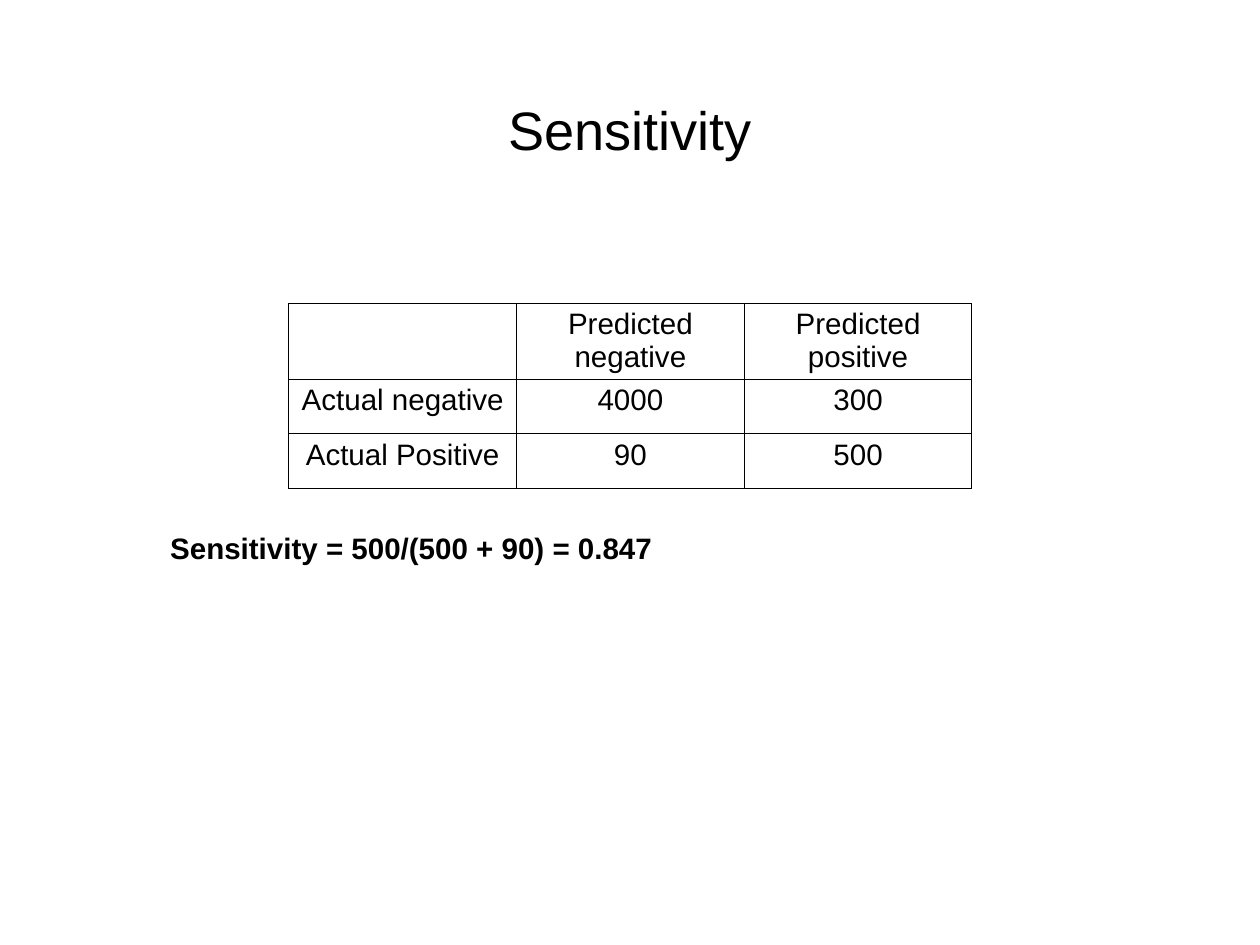
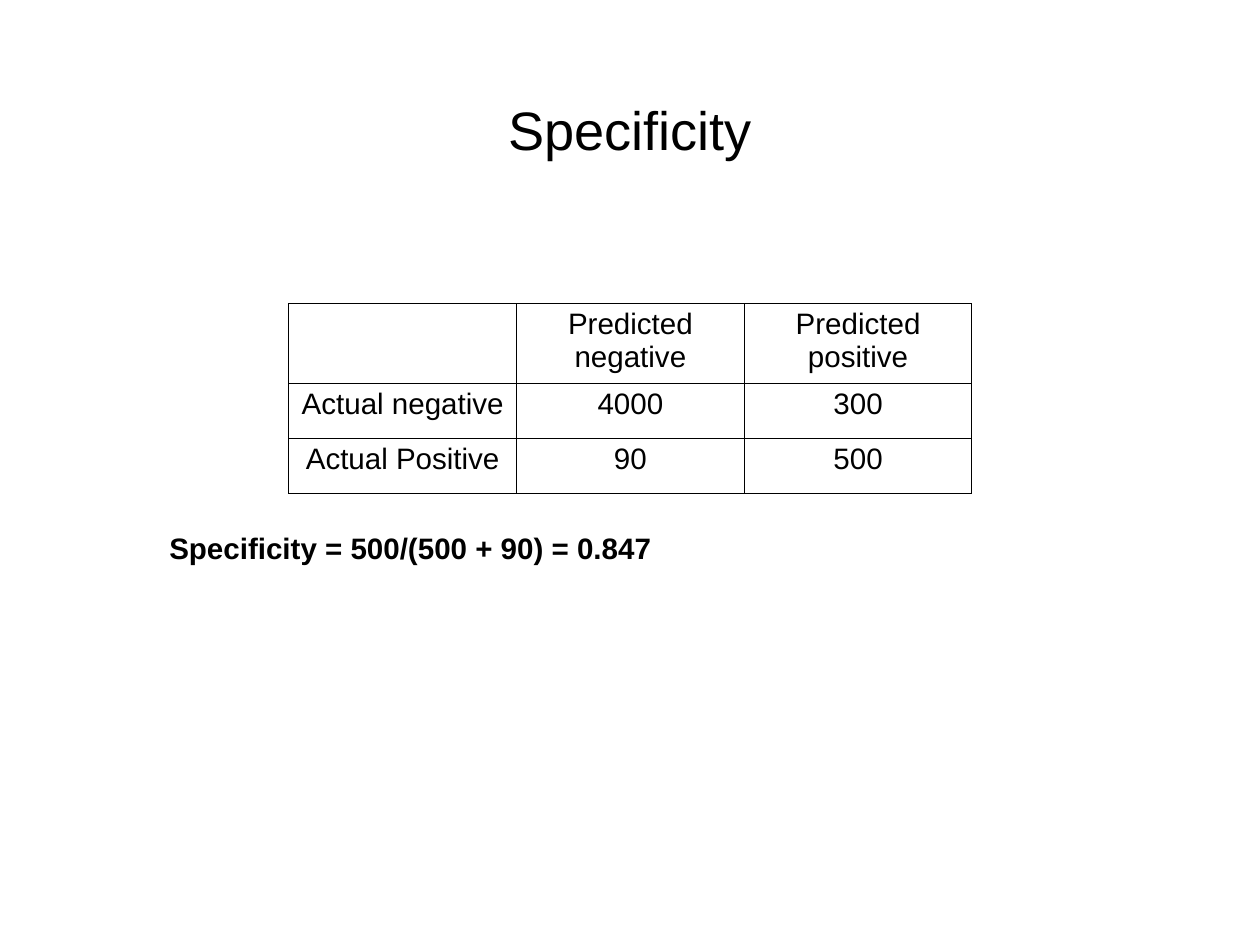
"""Build two slides that work out sensitivity and specificity from a confusion matrix."""
import pptx
import pptx.dml.color
import pptx.enum.text
import pptx.oxml.ns
import pptx.util
from lxml import etree

Inches = pptx.util.Inches
BLACK = pptx.dml.color.RGBColor(0, 0, 0)
WHITE = pptx.dml.color.RGBColor(255, 255, 255)
FONT = "Arial"

MATRIX = [
    ["", "Predicted negative", "Predicted positive"],
    ["Actual negative", "4000", "300"],
    ["Actual Positive", "90", "500"],
]
SLIDES = [
    {"title": "Sensitivity", "formula": "Sensitivity = 500/(500 + 90) = 0.847",
     "formula_left": 1.8, "formula_width": 5.68, "header_height": 0.85},
    {"title": "Specificity", "formula": "Specificity = 500/(500 + 90) = 0.847",
     "formula_left": 1.78, "formula_width": 5.7, "header_height": 0.9},
]
TABLE_LEFT, TABLE_TOP = 3.26, 3.43
COLUMN_WIDTH, ROW_HEIGHT = 2.57, 0.62


def write(frame, text, size=24, bold=False):
    """Put one centred paragraph into a text frame."""
    para = frame.paragraphs[0]
    para.alignment = pptx.enum.text.PP_ALIGN.CENTER
    span = para.add_run()
    span.text = text
    span.font.name = FONT
    span.font.size = pptx.util.Pt(size)
    span.font.bold = bold
    span.font.color.rgb = BLACK


def add_borders(cell):
    """Draw a thin black line on all four sides of a cell."""
    qn = pptx.oxml.ns.qn
    properties = cell._tc.get_or_add_tcPr()
    for side in ("lnL", "lnR", "lnT", "lnB"):
        line = etree.SubElement(properties, qn(f"a:{side}"), w=str(pptx.util.Pt(1)))
        fill = etree.SubElement(line, qn("a:solidFill"))
        etree.SubElement(fill, qn("a:srgbClr"), val=str(BLACK))


def add_title(slide, text):
    """Place and format the title placeholder."""
    title = slide.shapes.title
    title.left, title.top = Inches(1.04), Inches(0.28)
    title.width, title.height = Inches(12.14), Inches(2.36)
    frame = title.text_frame
    frame.vertical_anchor = pptx.enum.text.MSO_ANCHOR.MIDDLE
    frame.margin_left = frame.margin_right = Inches(0.06)
    frame.margin_top = frame.margin_bottom = Inches(0.06)
    write(frame, text, size=44)


def add_matrix(slide, header_height):
    """Add the confusion matrix as a plain ruled table."""
    heights = [header_height] + [ROW_HEIGHT] * (len(MATRIX) - 1)
    columns = len(MATRIX[0])
    table = slide.shapes.add_table(
        len(MATRIX), columns, Inches(TABLE_LEFT), Inches(TABLE_TOP),
        Inches(COLUMN_WIDTH * columns), Inches(sum(heights))).table
    table.first_row = table.horz_banding = False
    for column in table.columns:
        column.width = Inches(COLUMN_WIDTH)
    for row, height, labels in zip(table.rows, heights, MATRIX):
        row.height = Inches(height)
        for cell, label in zip(row.cells, labels):
            add_borders(cell)
            cell.fill.background()
            if label:
                write(cell.text_frame, label)


def add_formula(slide, text, left, width):
    """Add the worked formula below the table."""
    box = slide.shapes.add_textbox(Inches(left), Inches(5.93), Inches(width), Inches(0.5))
    box.text_frame.word_wrap = False
    box.text_frame.auto_size = pptx.enum.text.MSO_AUTO_SIZE.SHAPE_TO_FIT_TEXT
    write(box.text_frame, text, bold=True)


def main():
    """Build and save the deck."""
    deck = pptx.Presentation()
    deck.slide_width, deck.slide_height = Inches(14.22), Inches(10.67)
    background = deck.slide_master.background.fill
    background.solid()
    background.fore_color.rgb = WHITE
    for page in SLIDES:
        slide = deck.slides.add_slide(deck.slide_layouts.get_by_name("Title Only"))
        add_title(slide, page["title"])
        add_matrix(slide, page["header_height"])
        add_formula(slide, page["formula"], page["formula_left"], page["formula_width"])
    deck.save("out.pptx")


if __name__ == "__main__":
    main()
